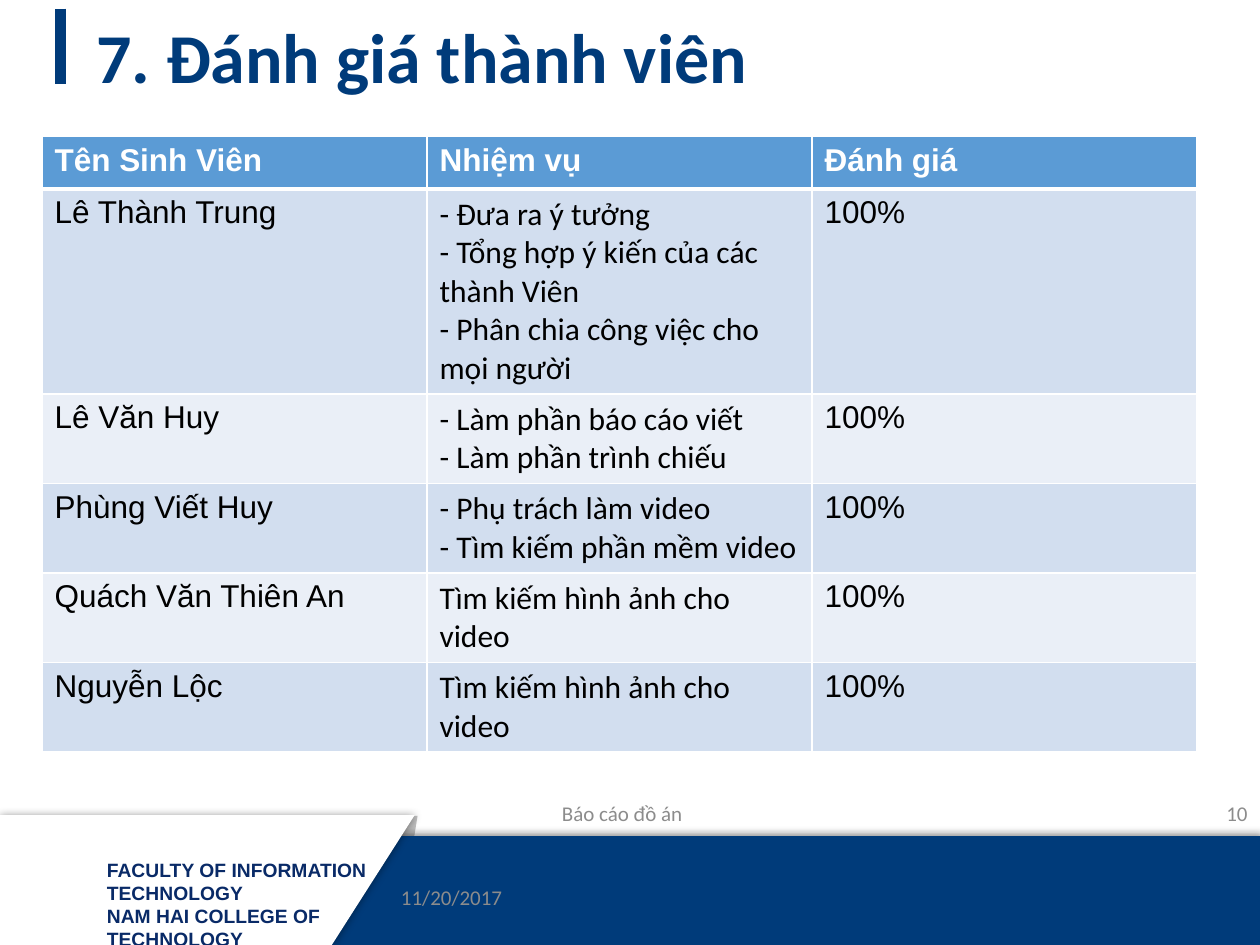
from lxml.etree import SubElement
from pptx import Presentation
from pptx.dml.color import RGBColor
from pptx.enum.shapes import MSO_CONNECTOR, MSO_SHAPE
from pptx.enum.text import MSO_ANCHOR, PP_ALIGN
from pptx.oxml import parse_xml
from pptx.oxml.ns import nsdecls, qn
from pptx.util import Pt

NAVY, GREY, WHITE, BLACK = "003B7A", "8C8C8C", "FFFFFF", "000000"


def rgb(hex_colour):
    """Turn a hex string into a colour."""
    return RGBColor.from_string(hex_colour)


def write(frame, lines, colour, paragraph_format=None, **font_format):
    """Fill a text frame with one paragraph per line."""
    frame.word_wrap = True
    frame.text = "\n".join(lines)
    for paragraph in frame.paragraphs:
        for key, value in (paragraph_format or {}).items():
            setattr(paragraph, key, value)
        for run in paragraph.runs:
            run.font.color.rgb = rgb(colour)
            for key, value in font_format.items():
                setattr(run.font, key, value)


prs = Presentation()
prs.slide_width, prs.slide_height = Pt(720), Pt(540)
slide = prs.slides.add_slide(prs.slide_layouts[6])
shapes = slide.shapes

# Footer band: preset, box, fill, shadow (blur, distance, direction in degrees)
tab = MSO_SHAPE.FLOWCHART_MANUAL_INPUT
footer_parts = [
    (tab, (172, 473.8, 74.2, 59), "BFBFBF", None),
    (MSO_SHAPE.RECTANGLE, (-0.7, 478, 720.7, 62), NAVY, (4, 2, 270)),
    (tab, (81.4, 384.5, 74.2, 236.9), WHITE, (5, 0, 0)),
    (MSO_SHAPE.RECTANGLE, (59.8, 487.4, 116.6, 36), WHITE, None),
]
for preset, box, fill, shadow in footer_parts:
    part = shapes.add_shape(preset, *[Pt(v) for v in box])
    part.shadow.inherit = False
    part.fill.solid()
    part.fill.fore_color.rgb = rgb(fill)
    if fill == NAVY:
        part.line.color.rgb = rgb(NAVY)
        part.line.width = Pt(1)
    else:
        part.line.fill.background()
    properties = part._element.spPr
    if preset == tab:
        part.rotation = 270
        properties.find(qn("a:xfrm")).set("flipV", "1")
    if shadow:
        blur, distance, direction = shadow
        properties.find(qn("a:effectLst")).append(parse_xml(
            f'<a:outerShdw {nsdecls("a")} blurRad="{Pt(blur)}" dist="{Pt(distance)}" '
            f'dir="{direction * 60000}" algn="ctr" rotWithShape="0"><a:srgbClr val="{BLACK}">'
            '<a:alpha val="40000"/></a:srgbClr></a:outerShdw>'))

title_bar = shapes.add_connector(MSO_CONNECTOR.STRAIGHT, Pt(34.6), Pt(5), Pt(34.6), Pt(48))
title_bar.line.color.rgb = rgb(NAVY)
title_bar.line.width = Pt(6)
SubElement(title_bar._element.spPr, qn("a:effectLst"))

# Members and their tasks
rows = [
    ("Tên Sinh Viên", ["Nhiệm vụ"], "Đánh giá"),
    ("Lê Thành Trung", ["- Đưa ra ý tưởng", "- Tổng hợp ý kiến của các thành Viên",
                        "- Phân chia công việc cho mọi người"], "100%"),
    ("Lê Văn Huy", ["- Làm phần báo cáo viết", "- Làm phần trình chiếu"], "100%"),
    ("Phùng Viết Huy", ["- Phụ trách làm video", "- Tìm kiếm phần mềm video"], "100%"),
    ("Quách Văn Thiên An", ["Tìm kiếm hình ảnh cho video"], "100%"),
    ("Nguyễn Lộc", ["Tìm kiếm hình ảnh cho video"], "100%"),
]
heights = [30, 115] + [50.5] * 4
members = shapes.add_table(len(rows), 3, Pt(24), Pt(78), Pt(660), Pt(sum(heights))).table
for column in members.columns:
    column.width = Pt(220)
for r, (name, tasks, score) in enumerate(rows):
    members.rows[r].height = Pt(heights[r])
    header = r == 0
    row_fill = "5B9BD5" if header else ("EAEFF7", "D2DEEF")[r % 2]
    for c, lines in enumerate(([name], tasks, [score])):
        cell = members.cell(r, c)
        write(cell.text_frame, lines, WHITE if header else BLACK, size=Pt(18), bold=header,
              name="Calibri" if c == 1 and not header else "Arial")
        borders = {"lnL": 1, "lnR": 1, "lnT": 3 if r == 1 else 1, "lnB": 3 if header else 1}
        for side, width in borders.items():
            cell._tc.get_or_add_tcPr().append(parse_xml(
                f'<a:{side} {nsdecls("a")} w="{Pt(width)}"><a:solidFill>'
                f'<a:srgbClr val="{WHITE}"/></a:solidFill></a:{side}>'))
        cell.fill.solid()
        cell.fill.fore_color.rgb = rgb(row_fill)

# Texts: box, lines, colour, anchor, paragraph format, font format
small = {"size": Pt(12), "name": "Calibri"}
middle = MSO_ANCHOR.MIDDLE
texts = [
    ((54, 486.7, 165.6, 60.5),
     ["FACULTY OF INFORMATION TECHNOLOGY", "NAM HAI COLLEGE OF TECHNOLOGY"],
     "092A67", MSO_ANCHOR.TOP, {}, {"size": Pt(11), "name": "Arial", "bold": True}),
    ((222, 498, 162, 29), ["11/20/2017"], GREY, middle, {}, small),
    ((234, 450, 243, 29), ["Báo cáo đồ án"], GREY, middle,
     {"alignment": PP_ALIGN.CENTER}, small),
    ((684, 450, 36, 29), ["10"], GREY, middle, {"alignment": PP_ALIGN.RIGHT}, small),
    ((48, 3, 621, 63), ["7. Đánh giá thành viên"], NAVY, middle, {"line_spacing": 0.9},
     {"size": Pt(40), "name": "Calibri", "bold": True}),
]
for box, lines, colour, anchor, paragraph_format, font_format in texts:
    frame = shapes.add_textbox(*[Pt(v) for v in box]).text_frame
    frame.vertical_anchor = anchor
    write(frame, lines, colour, paragraph_format, **font_format)

prs.save("out.pptx")
